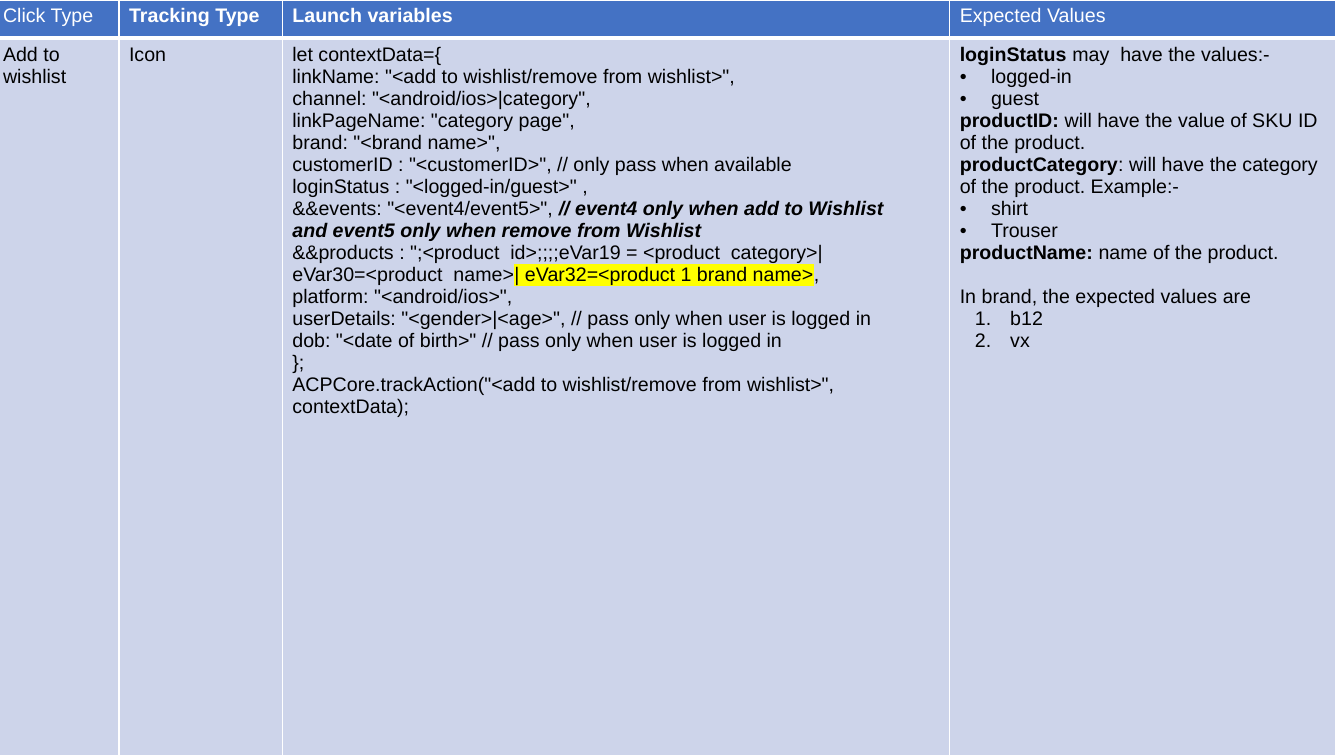
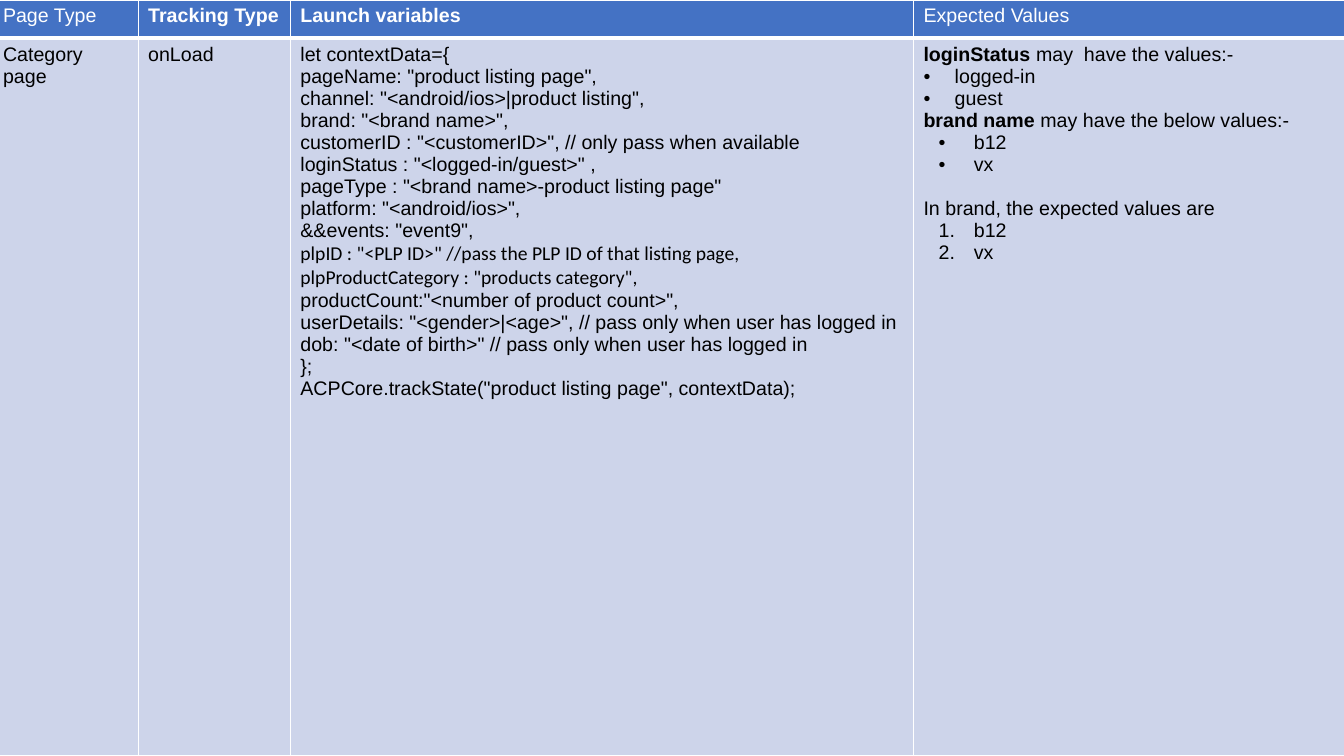
from dataclasses import dataclass

from lxml.etree import SubElement
from pptx import Presentation
from pptx.dml.color import RGBColor
from pptx.oxml.ns import qn
from pptx.util import Inches, Pt

WHITE, BLACK = "FFFFFF", "000000"
HEADER_FILL, BODY_FILL, HIGHLIGHT = "4472C4", "CDD4EA", "FFFF00"
BODY_FONT, ALTERNATE_FONT = "Arial", "Calibri"
TEXT_SIZE = Pt(14)
LINE_GAP = Pt(16)
THIN, THICK = Pt(1), Pt(3)
TABLE_LEFT = Inches(-0.07)
ROW_HEIGHTS = (0.38, 7.12)
BRAND_CODES = ("b12", "vx")
NO_BREAK_SPACE = chr(160)


@dataclass
class Run:
    text: str
    bold: bool = False
    italic: bool = False
    highlight: str = ""


@dataclass
class Line:
    """One paragraph; marker is "", "•" or "1."."""
    runs: list
    marker: str = ""
    margin: float = 0
    hanging: float = 0
    gap_before: bool = False
    font: str = BODY_FONT
    color: str = BLACK


def rgb(value):
    return RGBColor.from_string(value)


def plain(text, **options):
    return Line([Run(text)], **options)


def term(name, meaning):
    return Line([Run(name, bold=True), Run(meaning)])


def outer_bullets(*texts):
    return [plain(text, marker="•", margin=0.31, hanging=0.31) for text in texts]


def inner_items(marker, *texts):
    return [plain(text, marker=marker, margin=0.5, hanging=0.35) for text in texts]


LOGIN_VALUES = [
    term("loginStatus ", "may  have the values:-"),
    *outer_bullets("logged-in", "guest"),
]
BRAND_VALUES = [
    plain("In brand, the expected values are", gap_before=True),
    *inner_items("1.", *BRAND_CODES),
]
CUSTOMER_LINES = [
    plain('brand: "<brand name>",'),
    plain('customerID : "<customerID>", // only pass when available'),
    plain('loginStatus : "<logged-in/guest>" ,'),
]
PLATFORM_LINE = plain('platform: "<android/ios>",')


def user_lines(condition):
    return [
        plain(f'userDetails: "<gender>|<age>", // pass only when {condition}'),
        plain(f'dob: "<date of birth>" // pass only when {condition}'),
        plain("};"),
    ]


WISHLIST_VARIABLES = [
    plain("let contextData={"),
    plain('linkName: "<add to wishlist/remove from wishlist>",'),
    plain('channel: "<android/ios>|category",'),
    plain('linkPageName: "category page",'),
    *CUSTOMER_LINES,
    Line([
        Run('&&events: "<event4/event5>", '),
        Run("// event4 only when add to Wishlist "
            f"and{NO_BREAK_SPACE}event5 only when remove from Wishlist",
            bold=True, italic=True),
    ]),
    Line([
        Run('&&products : ";<product  id>;;;;eVar19 = <product  category>|eVar30=<product  name>'),
        Run("| eVar32=<product 1 brand name>", highlight=HIGHLIGHT),
        Run(","),
    ]),
    PLATFORM_LINE,
    *user_lines("user is logged in"),
    plain('ACPCore.trackAction("<add to wishlist/remove from wishlist>", contextData);'),
]
WISHLIST_VALUES = [
    *LOGIN_VALUES,
    term("productID:", " will have the value of SKU ID of the product."),
    term("productCategory", ": will have the category of the product. Example:-"),
    *outer_bullets("shirt", "Trouser"),
    term("productName: ", "name of the product."),
    *BRAND_VALUES,
]
CATEGORY_VARIABLES = [
    plain("let contextData={"),
    plain('pageName: "product listing page",'),
    plain('channel: "<android/ios>|product listing",'),
    *CUSTOMER_LINES,
    plain('pageType : "<brand name>-product listing page"'),
    PLATFORM_LINE,
    plain('&&events: "event9",'),
    plain('plpID : "<PLP ID>" //pass the PLP ID of that listing page,', font=ALTERNATE_FONT),
    plain('plpProductCategory : "products category",', font=ALTERNATE_FONT),
    plain('productCount:"<number of product count>",'),
    *user_lines("user has logged in"),
    plain('ACPCore.trackState("product listing page", contextData);'),
]
CATEGORY_VALUES = [
    *LOGIN_VALUES,
    term("brand name ", "may have the below values:-"),
    *inner_items("•", *BRAND_CODES),
    *BRAND_VALUES,
]


def add_marker(paragraph, line):
    properties = paragraph._p.get_or_add_pPr()
    properties.set("marL", str(Inches(line.margin)))
    properties.set("indent", str(-Inches(line.hanging)))
    SubElement(properties, qn("a:buFont"), typeface=BODY_FONT)
    if line.marker == "•":
        SubElement(properties, qn("a:buChar"), char=line.marker)
    else:
        SubElement(properties, qn("a:buAutoNum"), type="arabicPeriod")


def write_line(paragraph, line):
    if line.marker:
        add_marker(paragraph, line)
    if line.gap_before:
        paragraph.space_before = LINE_GAP
    font = paragraph.font
    font.name, font.size = line.font, TEXT_SIZE
    font.color.rgb = rgb(line.color)
    for part in line.runs:
        run = paragraph.add_run()
        run.text = part.text
        if part.bold:
            run.font.bold = True
        if part.italic:
            run.font.italic = True
        if part.highlight:
            highlight = SubElement(run._r.get_or_add_rPr(), qn("a:highlight"))
            SubElement(highlight, qn("a:srgbClr"), val=part.highlight)


def set_borders(cell, top, bottom):
    properties = cell._tc.get_or_add_tcPr()
    for side, width in (("L", THIN), ("R", THIN), ("T", top), ("B", bottom)):
        border = SubElement(properties, qn(f"a:ln{side}"), w=str(width))
        fill = SubElement(border, qn("a:solidFill"))
        SubElement(fill, qn("a:srgbClr"), val=WHITE)


def fill_cell(cell, lines, color, top, bottom):
    set_borders(cell, top, bottom)
    cell.fill.solid()
    cell.fill.fore_color.rgb = rgb(color)
    frame = cell.text_frame
    for index, line in enumerate(lines):
        write_line(frame.add_paragraph() if index else frame.paragraphs[0], line)


def header_cells(first_heading):
    headings = ((first_heading, False), ("Tracking Type", True),
                ("Launch variables", True), ("Expected Values", False))
    return [[Line([Run(text, bold=bold)], color=WHITE)] for text, bold in headings]


def add_tracking_slide(presentation, first_heading, column_widths, body_cells):
    slide = presentation.slides.add_slide(presentation.slide_layouts[6])
    table = slide.shapes.add_table(
        2, len(column_widths), TABLE_LEFT, 0,
        Inches(sum(column_widths)), Inches(sum(ROW_HEIGHTS))).table
    table.first_row = table.horz_banding = False
    for column, width in zip(table.columns, column_widths):
        column.width = Inches(width)
    for row, height in zip(table.rows, ROW_HEIGHTS):
        row.height = Inches(height)
    for cell, lines in zip(table.rows[0].cells, header_cells(first_heading)):
        fill_cell(cell, lines, HEADER_FILL, THIN, THICK)
    for cell, lines in zip(table.rows[1].cells, body_cells):
        fill_cell(cell, lines, BODY_FILL, THICK, THIN)


def main():
    presentation = Presentation()
    presentation.slide_width, presentation.slide_height = Inches(13.33), Inches(7.5)
    add_tracking_slide(
        presentation, "Click Type", (1.25, 1.62, 6.62, 3.83),
        ([plain("Add to wishlist")], [plain("Icon")], WISHLIST_VARIABLES, WISHLIST_VALUES))
    add_tracking_slide(
        presentation, "Page Type", (1.44, 1.51, 6.18, 4.28),
        ([plain("Category page")], [plain("onLoad")], CATEGORY_VARIABLES, CATEGORY_VALUES))
    presentation.save("out.pptx")


if __name__ == "__main__":
    main()
